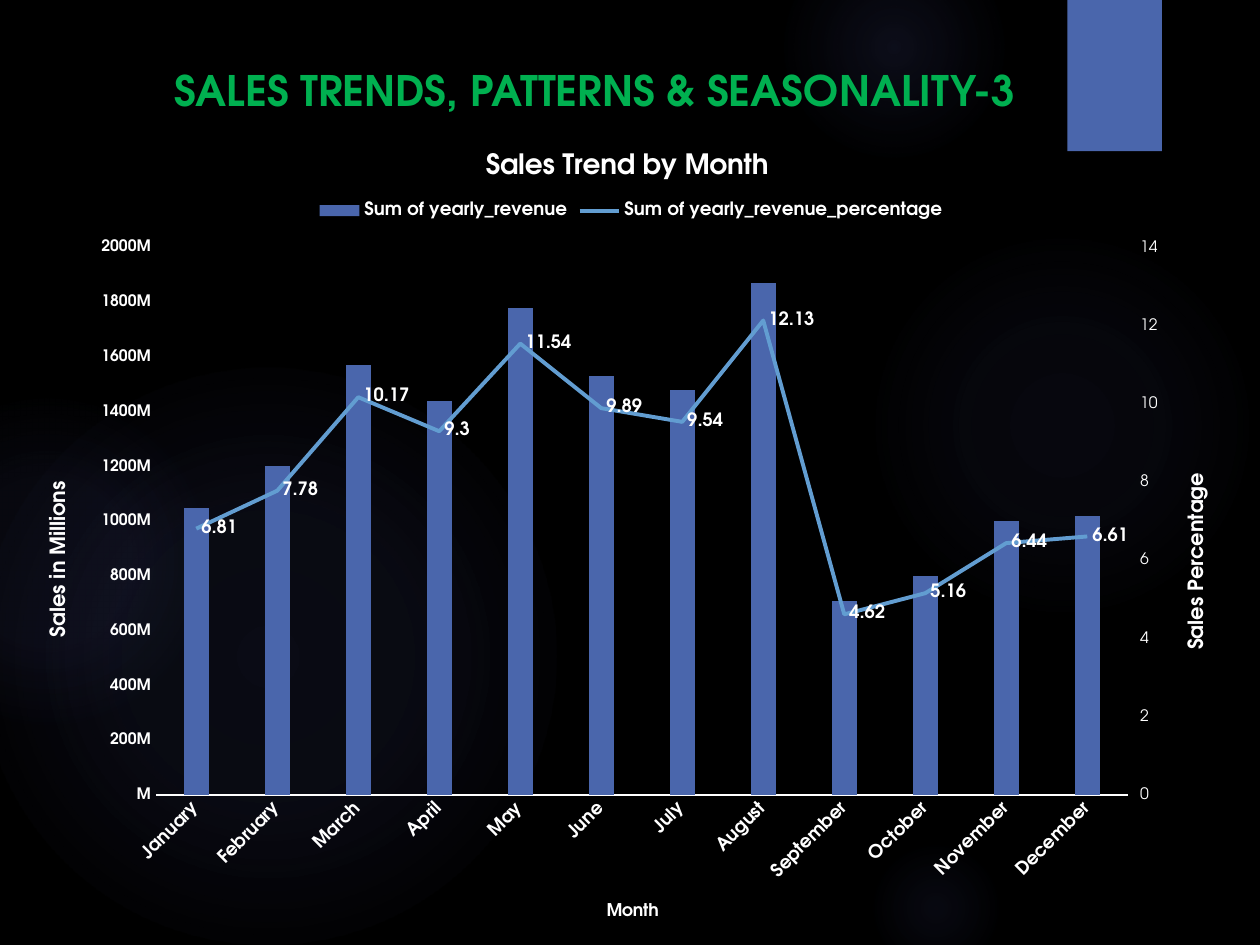
"""Build the monthly sales trend slide with a combined column and line chart."""
from copy import deepcopy
from dataclasses import dataclass

from pptx import Presentation
from pptx.chart.axis import ValueAxis
from pptx.chart.data import CategoryChartData
from pptx.dml.color import RGBColor
from pptx.enum.chart import XL_CHART_TYPE as CT
from pptx.enum.chart import XL_LABEL_POSITION as LabelPos
from pptx.enum.chart import XL_LEGEND_POSITION as LegendPos
from pptx.enum.chart import XL_MARKER_STYLE as Marker
from pptx.enum.chart import XL_TICK_MARK as Tick
from pptx.enum.shapes import MSO_SHAPE as Shape
from pptx.enum.text import MSO_ANCHOR as Anchor
from pptx.enum.text import PP_ALIGN as Align
from pptx.oxml import parse_xml
from pptx.oxml.ns import nsdecls, qn
from pptx.util import Pt

FONT = "TeX Gyre Adventor"
COLORS = {"back": "000000", "glow": "5C64B7", "bar": "4A66AC",
          "line": "629DD1", "title": "00B050", "text": "FFFFFF"}
CHART_W, CHART_H = 694.8, 470.2
MONTHS = ["January", "February", "March", "April", "May", "June", "July",
          "August", "September", "October", "November", "December"]
REVENUE = [1050000, 1200000, 1570000, 1440000, 1780000, 1530000,
           1480000, 1870000, 710000, 800000, 1000000, 1020000]
PERCENTAGE = [6.81, 7.78, 10.17, 9.3, 11.54, 9.89,
              9.54, 12.13, 4.62, 5.16, 6.44, 6.61]


@dataclass
class Glow:
    """A faint round light: place, size and (stop, opacity) pairs in percent."""
    left: float
    top: float
    size: float
    stops: tuple


GLOWS = [
    Glow(496, 132, 222, ((0, 7), (36, 6), (69, 0))),
    Glow(448, -36, 126, ((0, 14), (36, 7), (73, 0))),
    Glow(496, 480, 78, ((0, 9), (36, 5), (66, 0))),
    Glow(-12, 210, 330, ((0, 11), (36, 10), (75, 0))),
    Glow(-66, 228, 186, ((0, 8), (36, 8), (72, 0))),
]


def rgb(name: str) -> RGBColor:
    """Return a named colour."""
    return RGBColor.from_string(COLORS[name])


def set_font(font, size: float, bold: bool = True, color: str = "text") -> None:
    """Format a font."""
    font.name, font.size, font.bold = FONT, Pt(size), bold
    font.color.rgb = rgb(color)


def draw_glow(slide, glow: Glow) -> None:
    """Draw one radial glow."""
    sp = slide.shapes.add_shape(Shape.OVAL, Pt(glow.left), Pt(glow.top),
                                Pt(glow.size), Pt(glow.size))
    sp.shadow.inherit = False
    sp.line.fill.background()
    stops = "".join(
        f'<a:gs pos="{pos * 1000}"><a:srgbClr val="{COLORS["glow"]}">'
        f'<a:alpha val="{alpha * 1000}"/></a:srgbClr></a:gs>'
        for pos, alpha in glow.stops)
    fill = parse_xml(
        f'<a:gradFill {nsdecls("a")}><a:gsLst>{stops}</a:gsLst><a:path path="circle">'
        '<a:fillToRect l="50000" t="50000" r="50000" b="50000"/></a:path></a:gradFill>')
    sp._element.spPr.find(qn("a:prstGeom")).addnext(fill)


def draw_tab(slide) -> None:
    """Draw the blue tab at the top edge."""
    sp = slide.shapes.add_shape(Shape.RECTANGLE, Pt(610), 0, Pt(54), Pt(86.4))
    sp.shadow.inherit = False
    sp.fill.solid()
    sp.fill.fore_color.rgb = rgb("bar")
    sp.line.fill.background()
    sp._element.spPr.find(qn("a:effectLst")).append(parse_xml(
        f'<a:outerShdw {nsdecls("a")} blurRad="{Pt(3)}" dist="{Pt(2)}" dir="5400000">'
        '<a:srgbClr val="000000"><a:alpha val="45000"/></a:srgbClr></a:outerShdw>'))


def draw_title(slide, text: str) -> None:
    """Format the title placeholder and bring it in front of the glows."""
    sp = slide.shapes.title
    sp.left, sp.top, sp.width, sp.height = Pt(92.5), Pt(33.5), Pt(615.6), Pt(36)
    tf = sp.text_frame
    tf.word_wrap, tf.vertical_anchor = True, Anchor.MIDDLE
    p = tf.paragraphs[0]
    p.alignment = Align.LEFT
    r = p.add_run()
    r.text = text
    set_font(r.font, 24, color="title")
    slide.shapes._spTree.append(sp._element)


def layout_xml(x: float, y: float, size: str = "", target: str = ""):
    """Return a manual chart layout for a place in points within the chart."""
    return parse_xml(
        f'<c:layout {nsdecls("c")}><c:manualLayout>{target}<c:xMode val="edge"/>'
        f'<c:yMode val="edge"/><c:x val="{x / CHART_W}"/><c:y val="{y / CHART_H}"/>{size}'
        '</c:manualLayout></c:layout>')


def place(element, x: float, y: float) -> None:
    """Put a chart title or legend at a fixed place."""
    for old in element.findall(qn("c:layout")):
        element.remove(old)
    element.find(qn("c:overlay")).addprevious(layout_xml(x, y))


def place_plot(area, x: float, y: float, width: float, height: float) -> None:
    """Fix the inner plot area."""
    for old in area.findall(qn("c:layout")):
        area.remove(old)
    size = f'<c:w val="{width / CHART_W}"/><c:h val="{height / CHART_H}"/>'
    area.insert(0, layout_xml(x, y, size, '<c:layoutTarget val="inner"/>'))


def write_title(title, text: str, size: float, x: float, y: float,
                rotation: int = 0) -> None:
    """Write and place a chart or axis title."""
    tf = title.text_frame
    r = tf.paragraphs[0].add_run()
    r.text = text
    set_font(r.font, size)
    tf._txBody.bodyPr.set("rot", str(rotation * 60000))
    place(title._element, x, y)


def format_value_axis(axis, title: str, x: float, y: float, top: float,
                      step: float, number_format: str, bold: bool, tick) -> None:
    """Format one of the two value axes."""
    axis.has_major_gridlines = False
    axis.minimum_scale, axis.maximum_scale, axis.major_unit = 0, top, step
    axis.major_tick_mark = tick
    axis.format.line.fill.background()
    labels = axis.tick_labels
    labels.number_format, labels.number_format_is_linked = number_format, False
    set_font(labels.font, 9, bold)
    write_title(axis.axis_title, title, 12, x, y, -90)


def move_to_right_axis(chart) -> ValueAxis:
    """Turn the last series into a line on a second value axis."""
    bars = chart.plots[0]._element
    ser = bars.findall(qn("c:ser"))[-1]
    for item in ser.findall(qn("c:invertIfNegative")):
        ser.remove(item)
    lines = parse_xml(
        f'<c:lineChart {nsdecls("c")}><c:grouping val="standard"/><c:varyColors val="0"/>'
        '<c:marker val="1"/><c:axId val="5001"/><c:axId val="5002"/></c:lineChart>')
    lines.find(qn("c:marker")).addprevious(ser)
    bars.addnext(lines)
    cat = deepcopy(chart.category_axis._element)
    val = deepcopy(chart.value_axis._element)
    chart.value_axis._element.addnext(val)
    val.addnext(cat)
    for axis, own, other in ((cat, "5001", "5002"), (val, "5002", "5001")):
        axis.find(qn("c:axId")).set("val", own)
        axis.find(qn("c:crossAx")).set("val", other)
    cat.find(qn("c:delete")).set("val", "1")
    val.find(qn("c:axPos")).set("val", "r")
    val.find(qn("c:crosses")).set("val", "max")
    return ValueAxis(val)


def draw_chart(slide) -> None:
    """Draw revenue columns and the percentage line."""
    data = CategoryChartData()
    data.categories = MONTHS
    data.add_series("Sum of yearly_revenue", REVENUE)
    data.add_series("Sum of yearly_revenue_percentage", PERCENTAGE)
    chart = slide.shapes.add_chart(CT.COLUMN_CLUSTERED, Pt(13), Pt(69.8),
                                   Pt(CHART_W), Pt(CHART_H), data).chart
    set_font(chart.font, 10, False)
    left_axis = chart.value_axis
    right_axis = move_to_right_axis(chart)
    bars, lines = chart.plots
    bars.gap_width, bars.vary_by_categories = 219, False
    fill = bars.series[0].format.fill
    fill.solid()
    fill.fore_color.rgb = rgb("bar")

    trend = lines.series[0]
    trend.smooth, trend.marker.style = False, Marker.NONE
    trend.format.line.color.rgb = rgb("line")
    trend.format.line.width = Pt(2.25)
    labels = trend.data_labels
    labels.show_value, labels.position = True, LabelPos.RIGHT
    labels.number_format, labels.number_format_is_linked = "General", False
    set_font(labels.font, 10.5)

    months = chart.category_axis
    months.major_tick_mark = Tick.NONE
    months.format.line.color.rgb = rgb("text")
    months.format.line.width = Pt(0.75)
    set_font(months.tick_labels.font, 10.5)
    months._element.find(qn("c:txPr")).find(qn("a:bodyPr")).set("rot", "-2700000")
    write_title(months.axis_title, "Month", 10, 331.8, 443.4)
    format_value_axis(left_axis, "Sales in Millions", 12, 203, 2000000,
                      200000, '#,."M";\\-#,."M"', True, Tick.NONE)
    format_value_axis(right_axis, "Sales Percentage", 662, 198.2, 14, 2,
                      "General", False, Tick.OUTSIDE)

    chart.has_title = chart.has_legend = True
    write_title(chart.chart_title, "Sales Trend by Month", 16, 261.7, 13)
    legend = chart.legend
    legend.position, legend.include_in_layout = LegendPos.TOP, False
    set_font(legend.font, 10.5)
    place(legend._element, 166.2, 42.9)
    place_plot(bars._element.getparent(), 76, 71.6, 555.5, 313)


def main() -> None:
    """Build and save the slide."""
    prs = Presentation()
    prs.slide_width, prs.slide_height = Pt(720), Pt(540)
    s = prs.slides.add_slide(prs.slide_layouts[5])
    s.background.fill.solid()
    s.background.fill.fore_color.rgb = rgb("back")
    for glow in GLOWS:
        draw_glow(s, glow)
    draw_tab(s)
    draw_title(s, "SALES TRENDS, PATTERNS & SEASONALITY-3")
    draw_chart(s)
    prs.save("out.pptx")


if __name__ == "__main__":
    main()
